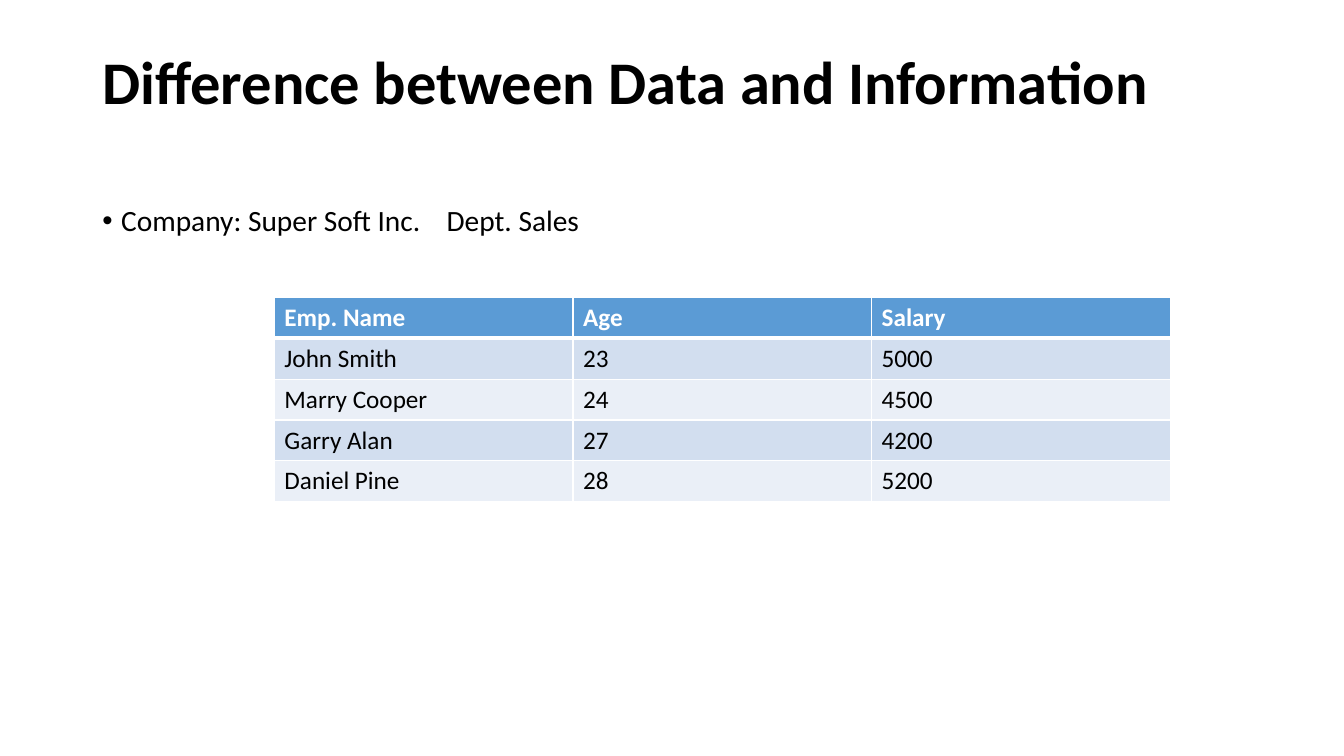
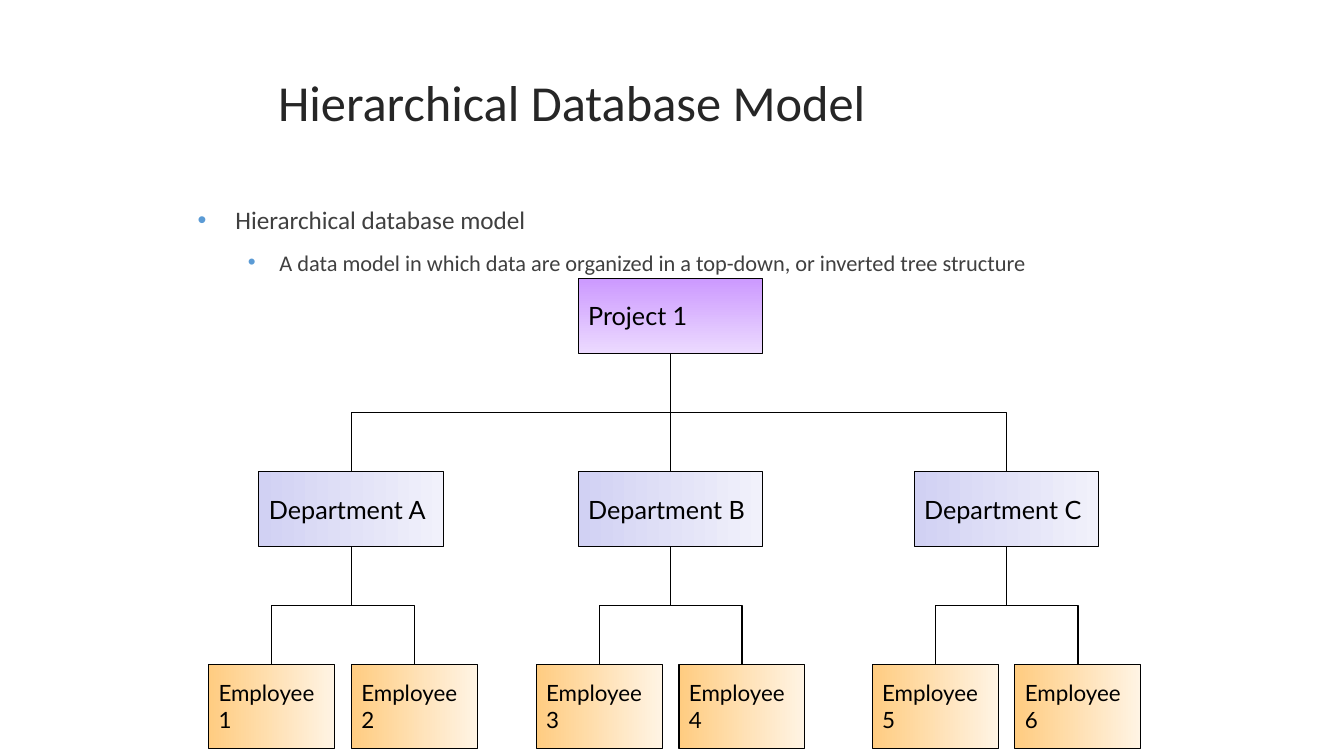
from dataclasses import dataclass

from lxml import etree
from pptx import Presentation
from pptx.dml.color import RGBColor
from pptx.enum import shapes, text
from pptx.oxml.ns import qn
from pptx.shapes.autoshape import Shape
from pptx.slide import Slide
from pptx.table import _Cell as Cell
from pptx.text.text import TextFrame, _Paragraph as Paragraph
from pptx.util import Pt

BLACK = RGBColor(0x00, 0x00, 0x00)
WHITE = RGBColor(0xFF, 0xFF, 0xFF)
TITLE_GREY = RGBColor(0x26, 0x26, 0x26)
BODY_GREY = RGBColor(0x40, 0x40, 0x40)
BLUE = RGBColor(0x5B, 0x9B, 0xD5)
BAND_DARK = RGBColor(0xD2, 0xDE, 0xEF)
BAND_LIGHT = RGBColor(0xEA, 0xEF, 0xF7)

BODY_FONT = "Calibri"
BOX_FONT = "Lato"

EMPLOYEES = [
    ("Emp. Name", "Age", "Salary"),
    ("John Smith", "23", "5000"),
    ("Marry Cooper", "24", "4500"),
    ("Garry Alan", "27", "4200"),
    ("Daniel Pine", "28", "5200"),
]


@dataclass(frozen=True)
class BoxStyle:
    """Look of one tree level; angle runs counter-clockwise."""
    top: float
    width: float
    height: float
    size: float
    start: RGBColor
    end: RGBColor
    angle: float = 0


@dataclass(frozen=True)
class Department:
    name: str
    left: float
    first_employee_left: float


TREE_TOP, LEVEL_STEP = 198.6, 138
EMPLOYEE_STEP = 102
PROJECT = BoxStyle(TREE_TOP, 132, 54, 18, RGBColor(0xCC, 0x99, 0xFF), RGBColor(0xEC, 0xDA, 0xFF), 270)
DEPARTMENT = BoxStyle(TREE_TOP + LEVEL_STEP, 132, 54, 18, RGBColor(0xD1, 0xD1, 0xF3), RGBColor(0xF1, 0xF1, 0xFB))
EMPLOYEE = BoxStyle(TREE_TOP + 2 * LEVEL_STEP, 90, 60, 16, RGBColor(0xFF, 0xCC, 0x81), RGBColor(0xFF, 0xF4, 0xE4))
DEPARTMENTS = [
    Department("Department A", 185, 149),
    Department("Department B", 413, 383),
    Department("Department C", 653, 623),
]


def write(tf: TextFrame, content: str, *, size: float, color: RGBColor = BLACK, font: str = BODY_FONT,
          bold: bool = False, line_spacing: float | None = None, space_before: float = 0) -> Paragraph:
    """Fill the empty first paragraph, or add another one."""
    p = tf.paragraphs[0]
    if p.runs:
        p = tf.add_paragraph()
        p.space_before = Pt(space_before)
    p.alignment = text.PP_ALIGN.LEFT
    if line_spacing:
        p.line_spacing = line_spacing
    r = p.add_run()
    r.text = content
    r.font.name, r.font.size, r.font.bold = font, Pt(size), bold
    r.font.color.rgb = color
    return p


def add_bullet(p: Paragraph, margin: float, hanging: float, color: RGBColor, tab: float | None = None) -> None:
    pPr = p._p.get_or_add_pPr()
    pPr.set("marL", str(Pt(margin)))
    pPr.set("indent", str(-Pt(hanging)))
    bu_clr = etree.SubElement(pPr, qn("a:buClr"))
    etree.SubElement(bu_clr, qn("a:srgbClr"), val=str(color))
    etree.SubElement(pPr, qn("a:buFont"), typeface="Arial")
    etree.SubElement(pPr, qn("a:buChar"), char="•")
    if tab is not None:
        tabs = etree.SubElement(pPr, qn("a:tabLst"))
        etree.SubElement(tabs, qn("a:tab"), pos=str(Pt(tab)), algn="l")


def add_text_box(slide: Slide, left: float, top: float, width: float, height: float) -> TextFrame:
    tf = slide.shapes.add_textbox(Pt(left), Pt(top), Pt(width), Pt(height)).text_frame
    tf.word_wrap = True
    return tf


def set_borders(cell: Cell, top: float, bottom: float) -> None:
    tcPr = cell._tc.get_or_add_tcPr()
    for side, width in (("L", 1), ("R", 1), ("T", top), ("B", bottom)):
        ln = etree.SubElement(tcPr, qn(f"a:ln{side}"), w=str(Pt(width)))
        fill = etree.SubElement(ln, qn("a:solidFill"))
        etree.SubElement(fill, qn("a:srgbClr"), val=str(WHITE))


def add_employee_table(slide: Slide, left: float, top: float, width: float, row_height: float) -> None:
    rows, cols = len(EMPLOYEES), len(EMPLOYEES[0])
    table = slide.shapes.add_table(rows, cols, Pt(left), Pt(top), Pt(width), Pt(row_height * rows)).table
    for i, values in enumerate(EMPLOYEES):
        header = i == 0
        for j, value in enumerate(values):
            cell = table.cell(i, j)
            set_borders(cell, top=3 if i == 1 else 1, bottom=3 if header else 1)
            cell.fill.solid()
            cell.fill.fore_color.rgb = BLUE if header else BAND_DARK if i % 2 else BAND_LIGHT
            write(cell.text_frame, value, size=18, color=WHITE if header else BLACK, bold=header)


def add_box(slide: Slide, left: float, style: BoxStyle, *lines: str) -> Shape:
    sp = slide.shapes.add_shape(shapes.MSO_SHAPE.RECTANGLE, Pt(left), Pt(style.top),
                                Pt(style.width), Pt(style.height))
    sp.shadow.inherit = False
    sp.fill.gradient()
    sp.fill.gradient_angle = style.angle
    for stop, color, position in zip(sp.fill.gradient_stops, (style.start, style.end), (0, 1)):
        stop.color.rgb, stop.position = color, position
    sp.line.color.rgb, sp.line.width = BLACK, Pt(0.75)
    tf = sp.text_frame
    tf.word_wrap = False
    tf.vertical_anchor = text.MSO_ANCHOR.MIDDLE
    for line in lines:
        write(tf, line, size=style.size, font=BOX_FONT)
    return sp


def join(slide: Slide, parent: Shape, child: Shape) -> None:
    """Link the parent's bottom to the child's top, turning halfway down."""
    x1, y1 = parent.left + parent.width // 2, parent.top + parent.height
    x2, y2 = child.left + child.width // 2, child.top
    dx, dy = x2 - x1, y2 - y1
    kind = shapes.MSO_CONNECTOR.ELBOW if dx else shapes.MSO_CONNECTOR.STRAIGHT
    line = slide.shapes.add_connector(kind, x1, y1, x2, y2)
    line.begin_connect(parent, 2)
    line.end_connect(child, 0)
    line.line.color.rgb, line.line.width = BLACK, Pt(0.75)
    spPr = line._element.spPr
    etree.SubElement(spPr, qn("a:effectLst"))
    if dx:  # an elbow leaves sideways, so it is turned to leave downwards
        line.width, line.height = dy, abs(dx)
        line.left = (x1 + x2 - dy) // 2
        line.top = (y1 + y2 - abs(dx)) // 2
        xfrm = spPr.find(qn("a:xfrm"))
        xfrm.set("rot", str((270 if dx > 0 else 90) * 60000))
        xfrm.set("flipH", "1" if dx > 0 else "0")


def build_data_slide(slide: Slide) -> None:
    title = add_text_box(slide, 66, 34, 828, 104.4)
    write(title, "Difference between Data and Information", size=43.2, bold=True, line_spacing=0.9)
    body = add_text_box(slide, 66, 144, 828, 342.7)
    p = write(body, "Company: Super Soft Inc.\tDept. Sales", size=21, line_spacing=0.9)
    add_bullet(p, 13.5, 13.5, BLACK, tab=246)
    add_employee_table(slide, left=196, top=212.4, width=640, row_height=29.2)


def build_hierarchy_slide(slide: Slide) -> None:
    title = add_text_box(slide, 191.5, 47.5, 519, 100.8)
    write(title, "Hierarchical Database Model", size=36, color=TITLE_GREY)
    body = add_text_box(slide, 134, 142.6, 720.7, 54)
    p = write(body, "Hierarchical database model", size=18, color=BODY_GREY)
    add_bullet(p, 27, 27, BLUE)
    p = write(body, "A data model in which data are organized in a top-down, or inverted tree structure",
              size=16, color=BODY_GREY, space_before=10)
    p.level = 1
    add_bullet(p, 58.5, 22.5, BLUE)

    project = add_box(slide, 413, PROJECT, "Project 1")
    for i, dept in enumerate(DEPARTMENTS):
        dept_box = add_box(slide, dept.left, DEPARTMENT, dept.name)
        join(slide, project, dept_box)
        for j in range(2):
            employee = add_box(slide, dept.first_employee_left + j * EMPLOYEE_STEP, EMPLOYEE,
                               "Employee", str(2 * i + j + 1))
            join(slide, dept_box, employee)


def main() -> None:
    prs = Presentation()
    prs.slide_width, prs.slide_height = Pt(960), Pt(540)
    for build in (build_data_slide, build_hierarchy_slide):
        build(prs.slides.add_slide(prs.slide_layouts[6]))
    prs.save("out.pptx")


if __name__ == "__main__":
    main()
